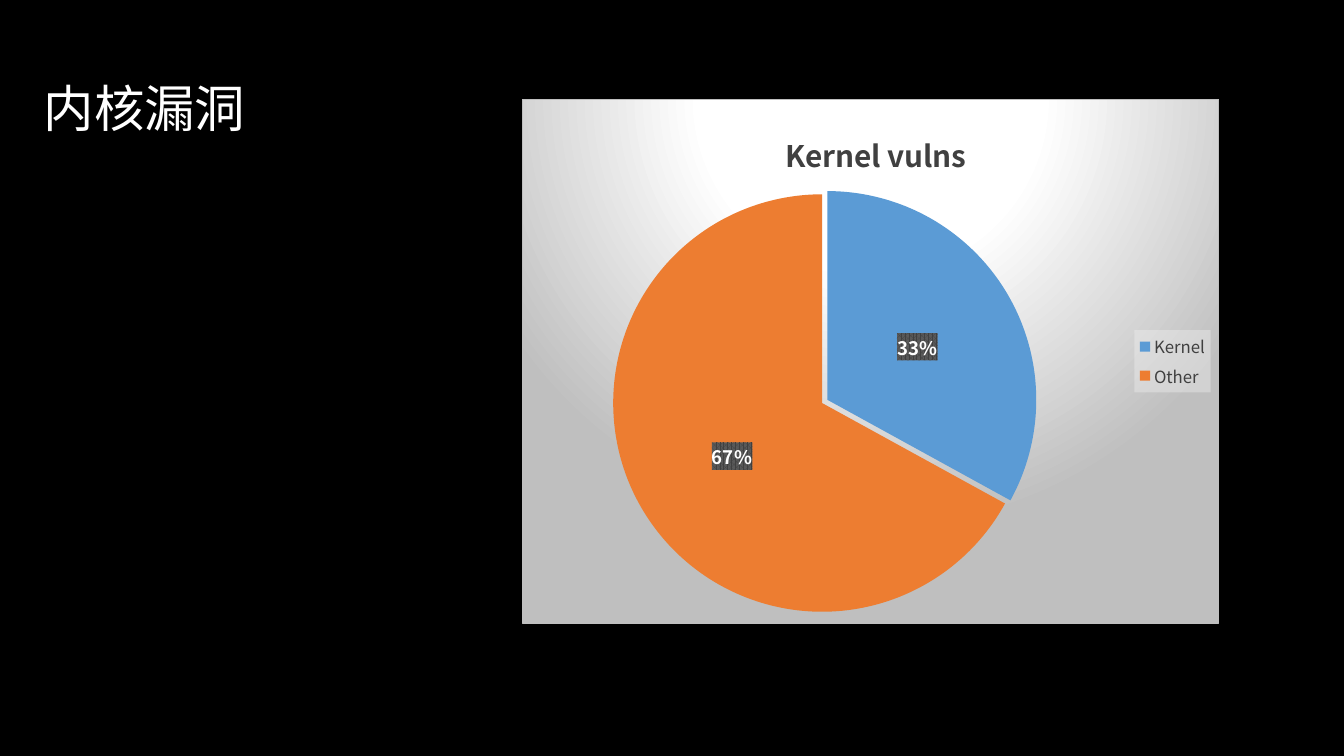
from lxml import etree
from pptx import Presentation
from pptx.chart.data import CategoryChartData
from pptx.dml.color import RGBColor
from pptx.enum.chart import XL_CHART_TYPE, XL_LABEL_POSITION, XL_LEGEND_POSITION
from pptx.enum.text import PP_ALIGN
from pptx.oxml import parse_xml
from pptx.oxml.ns import qn
from pptx.util import Pt

HEADING = "内核漏洞"
CHART_TITLE = "Kernel vulns"
SERIES_NAME = "Series 1"
BLACK = RGBColor(0x00, 0x00, 0x00)
WHITE = RGBColor(0xFF, 0xFF, 0xFF)
CHARCOAL = RGBColor(0x40, 0x40, 0x40)
SLATE = RGBColor(0x59, 0x59, 0x59)
SILVER = RGBColor(0xBF, 0xBF, 0xBF)
MIST = RGBColor(0xF2, 0xF2, 0xF2)
BLUE = RGBColor(0x5B, 0x9B, 0xD5)
ORANGE = RGBColor(0xED, 0x7D, 0x31)
SLICES = [("Kernel", 33, BLUE), ("Other", 67, ORANGE)]
FONT = "Noto Sans CJK SC"
KERNEL_OFFSET = 3

PIE = XL_CHART_TYPE.PIE
CENTER = XL_LABEL_POSITION.CENTER
RIGHT = XL_LEGEND_POSITION.RIGHT
LEFT = PP_ALIGN.LEFT

NAMESPACES = (
    'xmlns:c="http://schemas.openxmlformats.org/drawingml/2006/chart" '
    'xmlns:a="http://schemas.openxmlformats.org/drawingml/2006/main"'
)
BACKDROP = f"""<a:gradFill><a:gsLst>
<a:gs pos="0"><a:srgbClr val="{WHITE}"/></a:gs>
<a:gs pos="39000"><a:srgbClr val="{WHITE}"/></a:gs>
<a:gs pos="100000"><a:srgbClr val="{SILVER}"/></a:gs></a:gsLst>
<a:path path="circle"><a:fillToRect l="50000" t="-80000" r="50000" b="180000"/></a:path>
</a:gradFill><a:ln w="9525"><a:solidFill><a:srgbClr val="{SILVER}"/></a:solidFill></a:ln>"""
LABEL_FILL = f"""<a:pattFill prst="pct75"><a:fgClr><a:srgbClr val="{CHARCOAL}"/></a:fgClr>
<a:bgClr><a:srgbClr val="{SLATE}"/></a:bgClr></a:pattFill><a:ln><a:noFill/></a:ln>"""
LEGEND_FILL = f"""<a:solidFill><a:srgbClr val="{MIST}"><a:alpha val="39000"/></a:srgbClr>
</a:solidFill><a:ln><a:noFill/></a:ln>"""


def set_font(font, size, color, bold=False):
    font.name, font.size, font.bold = FONT, Pt(size), bold
    font.color.rgb = color


def paint(element, fill):
    properties = parse_xml(f"<c:spPr {NAMESPACES}>{fill}</c:spPr>")
    element.find(qn("c:txPr")).addprevious(properties)


def place(element, index, settings):
    for layout in element.findall(qn("c:layout")):
        element.remove(layout)
    entries = "".join(f'<c:{key} val="{value}"/>' for key, value in settings)
    element.insert(index, parse_xml(
        f"<c:layout {NAMESPACES}><c:manualLayout>{entries}</c:manualLayout></c:layout>"))


deck = Presentation()
deck.slide_width, deck.slide_height = Pt(960), Pt(540)
slide = deck.slides.add_slide(deck.slide_layouts[5])
slide.background.fill.solid()
slide.background.fill.fore_color.rgb = BLACK

heading = slide.shapes.title
heading.left, heading.top, heading.width, heading.height = Pt(24), Pt(51), Pt(670), Pt(51)
heading.text_frame.text = HEADING
paragraph = heading.text_frame.paragraphs[0]
paragraph.alignment = LEFT
set_font(paragraph.font, 36, WHITE)
default_run = paragraph.font.fill._xPr
latin = default_run.find(qn("a:latin"))
east_asian = etree.Element(qn("a:ea"), typeface=FONT)
latin.addnext(east_asian)

data = CategoryChartData()
data.categories = [name for name, value, color in SLICES]
data.add_series(SERIES_NAME, [value for name, value, color in SLICES])
chart = slide.shapes.add_chart(PIE, Pt(373), Pt(70.5), Pt(498), Pt(375), data).chart
set_font(chart.font, 10, BLACK)
paint(chart._chartSpace, BACKDROP)

chart.has_title = True
chart.chart_title.text_frame.text = CHART_TITLE
set_font(chart.chart_title.text_frame.paragraphs[0].font, 21.3, CHARCOAL, True)
place(chart.chart_title._element, 1,
      [("xMode", "edge"), ("yMode", "edge"), ("x", 0.37), ("y", 0.05)])

pie = chart.plots[0]
place(pie._element.getparent(), 0,
      [("layoutTarget", "inner"), ("xMode", "edge"), ("yMode", "edge"),
       ("x", 0.13), ("y", 0.18), ("w", 0.6), ("h", 0.8)])
pie.vary_by_categories = True
series = pie.series[0]
for index, (name, value, color) in enumerate(SLICES):
    fill = series.points[index].format.fill
    fill.solid()
    fill.fore_color.rgb = color
kernel = series._element.find(qn("c:dPt"))
kernel.find(qn("c:spPr")).addprevious(
    parse_xml(f'<c:explosion {NAMESPACES} val="{KERNEL_OFFSET}"/>'))

labels = series.data_labels
labels.show_value = False
labels.show_percentage = True
labels.number_format, labels.number_format_is_linked = "0%", False
labels.position = CENTER
set_font(labels.font, 13.3, WHITE, True)
paint(labels._element, LABEL_FILL)

chart.has_legend = True
chart.legend.position = RIGHT
chart.legend.include_in_layout = False
set_font(chart.legend.font, 12, CHARCOAL)
paint(chart.legend._element, LEGEND_FILL)

deck.save("out.pptx")
